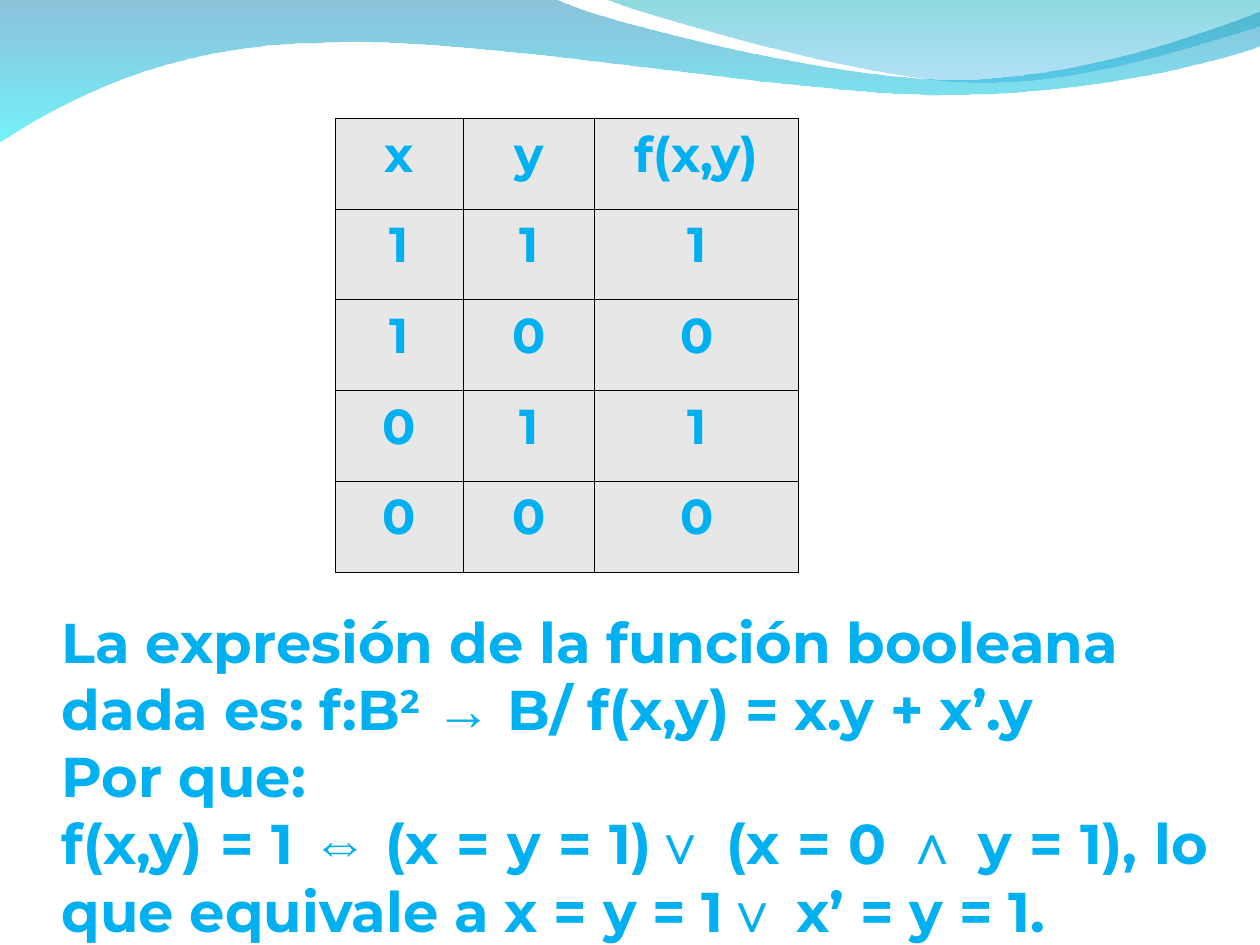
from lxml import etree
from pptx import Presentation
from pptx.dml.color import RGBColor
from pptx.enum import text as tx
from pptx.oxml import ns
from pptx.util import Inches, Pt

CYAN = RGBColor(0x00, 0xB0, 0xF0)
GREY = RGBColor(0xE7, 0xE7, 0xE7)
BLACK = RGBColor(0x00, 0x00, 0x00)
FONT = "Montserrat"
SIGN = "Arial"
SIGNS = "→⇔∨∧"
LEFT, MID, JUST = tx.PP_ALIGN.LEFT, tx.PP_ALIGN.CENTER, tx.PP_ALIGN.JUSTIFY

# Each wave: steps (one point for a line, three for a curve), then colour and opacity stops
WAVES = [
    ([[(0, -0.01)], [(4.4, -0.01)],
      [(4.76, 0.17), (6.64, 0.63), (7.58, 0.63)],
      [(8.53, 0.63), (9.58, 0.26), (10, 0.09)],
      [(10.01, 0.36)],
      [(9.83, 0.44), (8.7, 0.76), (7.46, 0.75)],
      [(6.22, 0.75), (3.82, 0.28), (2.57, 0.34)],
      [(1.29, 0.35), (0.46, 0.83), (-0.01, 1.13)]],
     [(RGBColor(0x00, 0x79, 0xAF), 45), (RGBColor(0x00, 0xEB, 0xF8), 55)]),
    ([[(4.79, -0.01)],
      [(5.09, 0.11), (6.82, 0.62), (7.69, 0.65)],
      [(8.56, 0.69), (9.61, 0.32), (10, 0.21)],
      [(10, 0)]],
     [(RGBColor(0x00, 0xAD, 0xB6), 45), (RGBColor(0x00, 0x9B, 0xE5), 30)]),
]

HEAD = ["x", "y", "f(x,y)"]
TRUTH = [(1, 1, 1), (1, 0, 0), (0, 1, 1), (0, 0, 0)]
COLS = [1.02, 1.04, 1.62]
ROW = 0.72

# "^" marks the part of a line that is raised
LINES = [
    ("La expresión de la función booleana dada es: f:B^2^ → B/ f(x,y) = x.y + x’.y", LEFT),
    ("Por que:", JUST),
    ("f(x,y) = 1 ⇔ (x = y = 1)∨ (x = 0 ∧ y = 1), lo que equivale a x = y = 1∨ x’ = y = 1.", JUST),
]


def bend(wave, steps):
    """Join the three segments of each curve step into one cubic curve."""
    lines = list(wave._element.iter(ns.qn("a:lnTo")))
    for step in steps[1:]:
        group, lines = lines[:len(step)], lines[len(step):]
        if len(step) == 3:
            curve = etree.Element(ns.qn("a:cubicBezTo"))
            group[0].addprevious(curve)
            for line in group:
                curve.append(line[0])
                line.getparent().remove(line)


def add_wave(slide, steps, stops):
    pts = [(Inches(x), Inches(y)) for step in steps for x, y in step]
    form = slide.shapes.build_freeform(*pts[0], scale=1.0)
    form.add_line_segments(pts[1:], close=True)
    wave = form.convert_to_shape()
    bend(wave, steps)
    wave.shadow.inherit = False
    wave.line.fill.background()
    wave.fill.gradient()
    wave.fill.gradient_angle = 270
    for stop, (tint, _) in zip(wave.fill.gradient_stops, stops):
        stop.color.rgb = tint
    tints = wave._element.spPr.iter(ns.qn("a:srgbClr"))
    for tint, (_, clear) in zip(tints, stops):
        etree.SubElement(tint, ns.qn("a:alpha"), val=str(clear * 1000))


def split(line):
    """Yield (words, raised, sign) for each run of a line."""
    for i, part in enumerate(line.split("^")):
        words = ""
        for char in part:
            if char in SIGNS:
                if words:
                    yield words, i % 2 == 1, False
                yield char, False, True
                words = ""
            else:
                words += char
        if words:
            yield words, i % 2 == 1, False


def write(para, line, size=32, align=LEFT):
    para.alignment = align
    for words, raised, sign in split(line):
        run = para.add_run()
        run.text = words
        run.font.size = Pt(size)
        run.font.bold = True
        run.font.name = SIGN if sign else FONT
        run.font.color.rgb = CYAN
        if raised:
            run.font._element.set("baseline", "30000")


def edge(cell):
    props = cell._tc.get_or_add_tcPr()
    for side in ("lnL", "lnR", "lnT", "lnB"):
        line = etree.SubElement(props, ns.qn("a:" + side), w=str(Pt(0.45)))
        fill = etree.SubElement(line, ns.qn("a:solidFill"))
        etree.SubElement(fill, ns.qn("a:srgbClr"), val=str(BLACK))


def add_truth(slide):
    rows = [HEAD, *TRUTH]
    table = slide.shapes.add_table(
        len(rows), len(COLS), Inches(2.66), Inches(0.94),
        Inches(sum(COLS)), Inches(ROW * len(rows))).table
    for col, wide in zip(table.columns, COLS):
        col.width = Inches(wide)
    for r, row in enumerate(rows):
        table.rows[r].height = Inches(ROW)
        for c, value in enumerate(row):
            cell = table.cell(r, c)
            edge(cell)
            cell.fill.solid()
            cell.fill.fore_color.rgb = GREY
            write(cell.text_frame.paragraphs[0], str(value), size=28, align=MID)


def add_proof(slide):
    box = slide.shapes.add_textbox(Inches(0.39), Inches(4.77), Inches(9.3), Inches(3.97))
    frame = box.text_frame
    frame.word_wrap = True
    frame.auto_size = tx.MSO_AUTO_SIZE.SHAPE_TO_FIT_TEXT
    for i, (line, align) in enumerate(LINES):
        para = frame.add_paragraph() if i else frame.paragraphs[0]
        write(para, line, align=align)


def main():
    deck = Presentation()
    deck.slide_width, deck.slide_height = Inches(10), Inches(7.5)
    slide = deck.slides.add_slide(deck.slide_layouts[6])
    for steps, stops in WAVES:
        add_wave(slide, steps, stops)
    add_proof(slide)
    add_truth(slide)
    deck.save("out.pptx")


if __name__ == "__main__":
    main()
